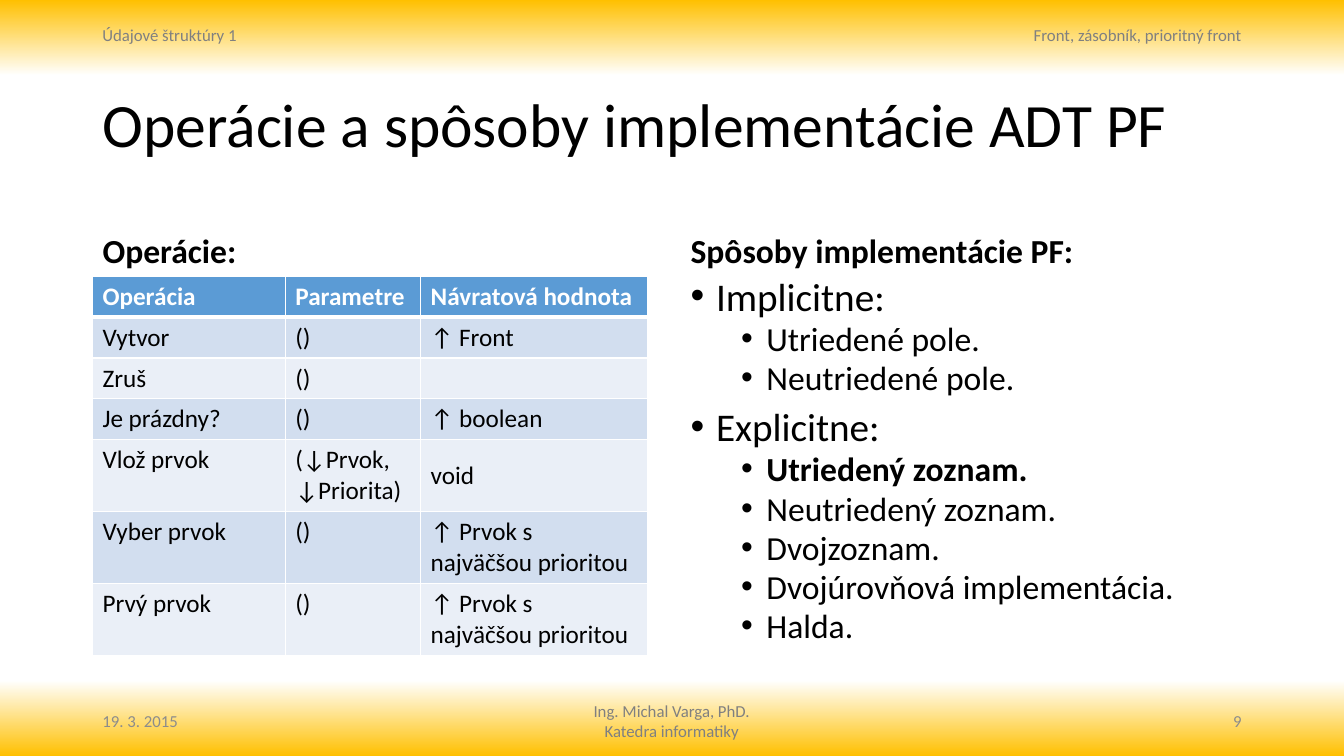
"""Build the slide on operations and implementations of the priority queue ADT."""
from lxml import etree
from pptx import Presentation
from pptx.dml.color import RGBColor
from pptx.enum.text import MSO_ANCHOR, MSO_AUTO_SIZE, PP_ALIGN
from pptx.oxml.ns import qn
from pptx.util import Cm, Pt

LEFT, CENTER, RIGHT = PP_ALIGN.LEFT, PP_ALIGN.CENTER, PP_ALIGN.RIGHT
TOP, MIDDLE, BOTTOM = MSO_ANCHOR.TOP, MSO_ANCHOR.MIDDLE, MSO_ANCHOR.BOTTOM
NO_FIT = MSO_AUTO_SIZE.NONE
FONT = "Calibri"
COLORS = {
    "gold": "FFC000", "white": "FFFFFF", "black": "000000", "gray": "808080",
    "light_gray": "8C8C8C", "header": "5B9BD5", "odd": "D2DEEF", "even": "EAEFF7",
}


def format_text(p, size, color, bold=False, align=LEFT):
    p.alignment = align
    for r in p.runs:
        r.font.name, r.font.size, r.font.bold = FONT, Pt(size), bold
        r.font.color.rgb = RGBColor.from_string(COLORS[color])


def place(sp, left, top, width, height, anchor):
    sp.left, sp.top, sp.width, sp.height = Cm(left), Cm(top), Cm(width), Cm(height)
    tf = sp.text_frame
    tf.word_wrap, tf.auto_size, tf.vertical_anchor = True, NO_FIT, anchor
    return tf


prs = Presentation()
prs.slide_width, prs.slide_height = Cm(33.87), Cm(19.05)
s = prs.slides.add_slide(prs.slide_layouts.get_by_name("Comparison"))
holders = {ph.placeholder_format.idx: ph for ph in s.placeholders}
holders[2].element.getparent().remove(holders[2].element)

fill = s.background.fill
fill.gradient()
fill.gradient_angle = 270
stops = s.element.xpath(".//a:gsLst")[0]
for stop in list(stops):
    stops.remove(stop)
for pos, color in ((0, "gold"), (10, "white"), (90, "white"), (100, "gold")):
    gs = etree.SubElement(stops, qn("a:gs"), pos=str(pos * 1000))
    etree.SubElement(gs, qn("a:srgbClr"), val=COLORS[color])

margin_texts = [
    ("Ing. Michal Varga, PhD.\nKatedra informatiky", 12.09, 17.53, 9.68, 1.27, TOP, CENTER, "gray"),
    ("Údajové štruktúry 1", 2.33, 0.5, 7.62, 0.78, TOP, LEFT, "gray"),
    ("Front, zásobník, prioritný front", 23.92, 0.5, 7.62, 0.78, TOP, RIGHT, "gray"),
    ("19. 3. 2015", 2.33, 17.66, 7.62, 1.01, MIDDLE, LEFT, "light_gray"),
    ("9", 23.92, 17.66, 7.62, 1.01, MIDDLE, RIGHT, "light_gray"),
]
for text, left, top, width, height, anchor, align, color in margin_texts:
    tf = place(s.shapes.add_textbox(0, 0, 0, 0), left, top, width, height, anchor)
    tf.text = text
    for p in tf.paragraphs:
        format_text(p, 12, color, align=align)

headings = [
    (0, "Operácie a spôsoby implementácie ADT PF", 2.33, 1.75, 29.21, 2.95, MIDDLE, 44, False),
    (1, "Operácie:", 2.33, 4.67, 14.33, 2.29, BOTTOM, 24, True),
    (3, "Spôsoby implementácie PF:", 17.15, 4.67, 14.4, 2.29, BOTTOM, 24, True),
]
for idx, text, left, top, width, height, anchor, size, bold in headings:
    tf = place(holders[idx], left, top, width, height, anchor)
    tf.text = text
    p = tf.paragraphs[0]
    p.line_spacing, p.space_before = 0.9, Pt(0)
    format_text(p, size, "black", bold)

implementations = [
    (0, "Implicitne:"), (1, "Utriedené pole."), (1, "Neutriedené pole."),
    (0, "Explicitne:"), (1, "Utriedený zoznam."), (1, "Neutriedený zoznam."),
    (1, "Dvojzoznam."), (1, "Dvojúrovňová implementácia."), (1, "Halda."),
]
tf = place(holders[4], 17.15, 6.96, 14.4, 10.24, TOP)
tf.text = "\n".join(text for level, text in implementations)
for i, (p, (level, text)) in enumerate(zip(tf.paragraphs, implementations)):
    p.level = level
    pPr = p._p.get_or_add_pPr()
    pPr.set("marL", str(Cm(0.64 + 1.27 * level)))
    pPr.set("indent", str(Cm(-0.64)))
    etree.SubElement(pPr, qn("a:buFont"), typeface="Arial")
    etree.SubElement(pPr, qn("a:buChar"), char="•")
    p.line_spacing = 0.8
    p.space_before = Pt((5 if level else 10) if i else 0)
    format_text(p, 24 if level else 28, "black", text == "Utriedený zoznam.")

operations = [
    ("Operácia", "Parametre", "Návratová hodnota"),
    ("Vytvor", "()", "↑ Front"),
    ("Zruš", "()", ""),
    ("Je prázdny?", "()", "↑ boolean"),
    ("Vlož prvok", "(↓Prvok,\n↓Priorita)", "void"),
    ("Vyber prvok", "()", "↑ Prvok s najväčšou prioritou"),
    ("Prvý prvok", "()", "↑ Prvok s najväčšou prioritou"),
]
table = s.shapes.add_table(7, 3, Cm(2.33), Cm(6.96), Cm(13.99), Cm(10.58)).table
for col, width in zip(table.columns, (4.86, 3.41, 5.72)):
    col.width = Cm(width)
for i, row in enumerate(operations):
    table.rows[i].height = Cm(1.03 if i < 4 else 1.81)
    band = "header" if i == 0 else "odd" if i % 2 else "even"
    for j, text in enumerate(row):
        cell = table.cell(i, j)
        cell.text = text
        cell.vertical_anchor = MIDDLE if j == 2 else TOP
        cell.fill.solid()
        cell.fill.fore_color.rgb = RGBColor.from_string(COLORS[band])
        for p in cell.text_frame.paragraphs:
            format_text(p, 18, "black" if i else "white", i == 0)
        tcPr = cell._tc.get_or_add_tcPr()
        widths = {"L": 1, "R": 1, "T": 3 if i == 1 else 1, "B": 1 if i else 3}
        for k, (side, width) in enumerate(widths.items()):
            ln = etree.Element(qn(f"a:ln{side}"), w=str(Pt(width)))
            line = etree.SubElement(ln, qn("a:solidFill"))
            etree.SubElement(line, qn("a:srgbClr"), val=COLORS["white"])
            tcPr.insert(k, ln)

prs.save("out.pptx")
